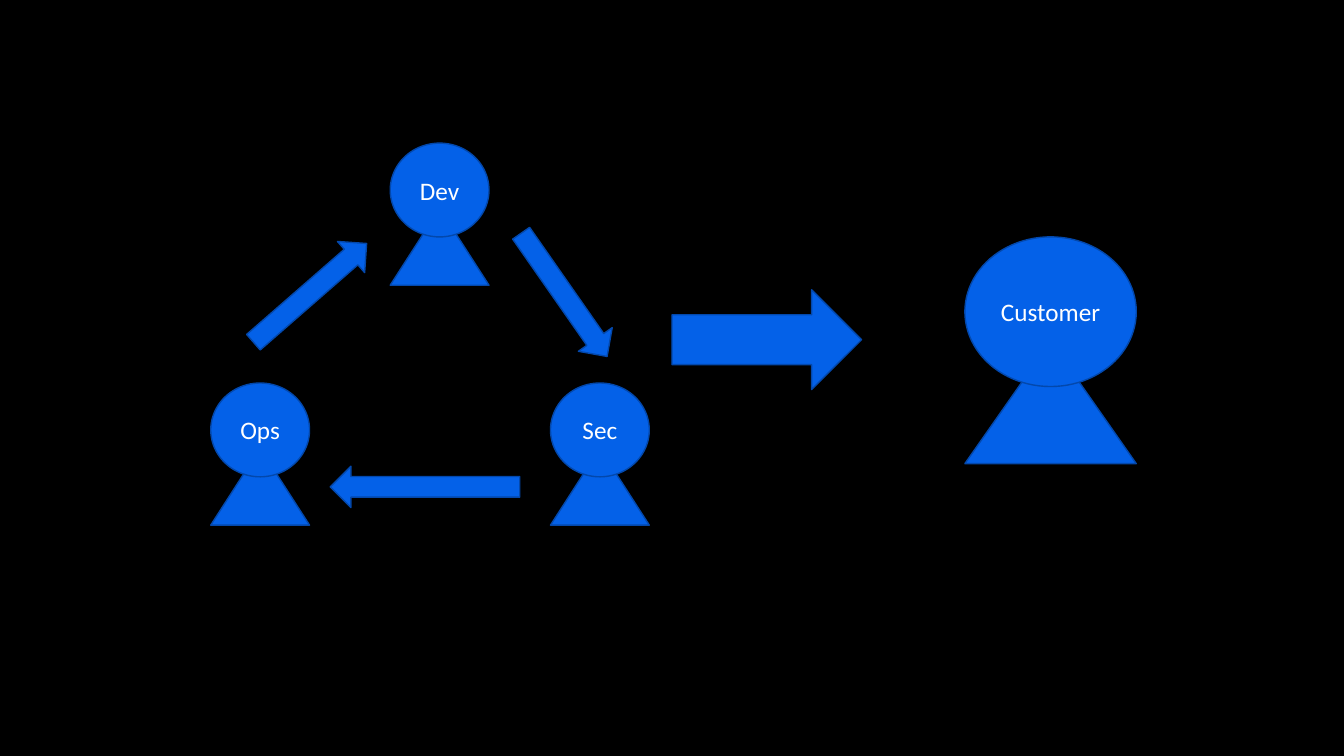
"""Build a slide showing the Dev, Sec and Ops cycle delivering to a customer."""
from pptx import Presentation
from pptx.dml.color import RGBColor
from pptx.enum.shapes import MSO_SHAPE as Shape
from pptx.enum.text import MSO_ANCHOR as Anchor, PP_ALIGN as Align
from pptx.util import Inches, Pt

BLACK = RGBColor(0x00, 0x00, 0x00)
WHITE = RGBColor(0xFF, 0xFF, 0xFF)
BLUE = RGBColor(0x04, 0x61, 0xE8)
DARK_BLUE = RGBColor(0x03, 0x48, 0xAC)

HEAD_SHARE = 0.66
BODY_SHARE = 0.54
TEAM_SIZE = (0.98, 1.41)
CUSTOMER_SIZE = (1.7, 2.25)

PEOPLE = [
    ("Dev", 3.87, 1.42, TEAM_SIZE),
    ("Ops", 2.09, 3.8, TEAM_SIZE),
    ("Sec", 5.46, 3.8, TEAM_SIZE),
    ("Customer", 9.57, 2.35, CUSTOMER_SIZE),
]
ARROWS = [
    (5.39, 2.18, 0.41, 1.49, 325.1),
    (4.01, 3.89, 0.41, 1.88, 90),
    (2.87, 2.16, 0.41, 1.49, 228.9),
    (7.11, 2.43, 0.99, 1.88, 270),
]


def add_blue_shape(shapes, kind, left, top, width, height):
    shape = shapes.add_shape(
        kind, Inches(left), Inches(top), Inches(width), Inches(height)
    )
    shape.shadow.inherit = False
    shape.fill.solid()
    shape.fill.fore_color.rgb = BLUE
    shape.line.color.rgb = DARK_BLUE
    shape.line.width = Pt(1)
    return shape


def add_label(shape, text):
    frame = shape.text_frame
    frame.vertical_anchor = Anchor.MIDDLE
    paragraph = frame.paragraphs[0]
    paragraph.alignment = Align.CENTER
    run = paragraph.add_run()
    run.text = text
    run.font.name = "Calibri"
    run.font.size = Pt(18)
    run.font.color.rgb = WHITE


def add_person(slide, label, left, top, size):
    width, height = size
    body_height = height * BODY_SHARE
    body_top = top + height - body_height
    person = slide.shapes.add_group_shape()
    add_blue_shape(person.shapes, Shape.ISOSCELES_TRIANGLE,
                   left, body_top, width, body_height)
    head = add_blue_shape(person.shapes, Shape.OVAL,
                          left, top, width, height * HEAD_SHARE)
    add_label(head, label)


def add_arrow(slide, left, top, width, height, rotation):
    arrow = add_blue_shape(slide.shapes, Shape.DOWN_ARROW,
                           left, top, width, height)
    arrow.rotation = rotation


def main():
    presentation = Presentation()
    presentation.slide_width = Inches(13.33)
    presentation.slide_height = Inches(7.5)
    slide = presentation.slides.add_slide(presentation.slide_layouts[6])
    slide.background.fill.solid()
    slide.background.fill.fore_color.rgb = BLACK
    for person in PEOPLE:
        add_person(slide, *person)
    for arrow in ARROWS:
        add_arrow(slide, *arrow)
    presentation.save("out.pptx")


if __name__ == "__main__":
    main()
